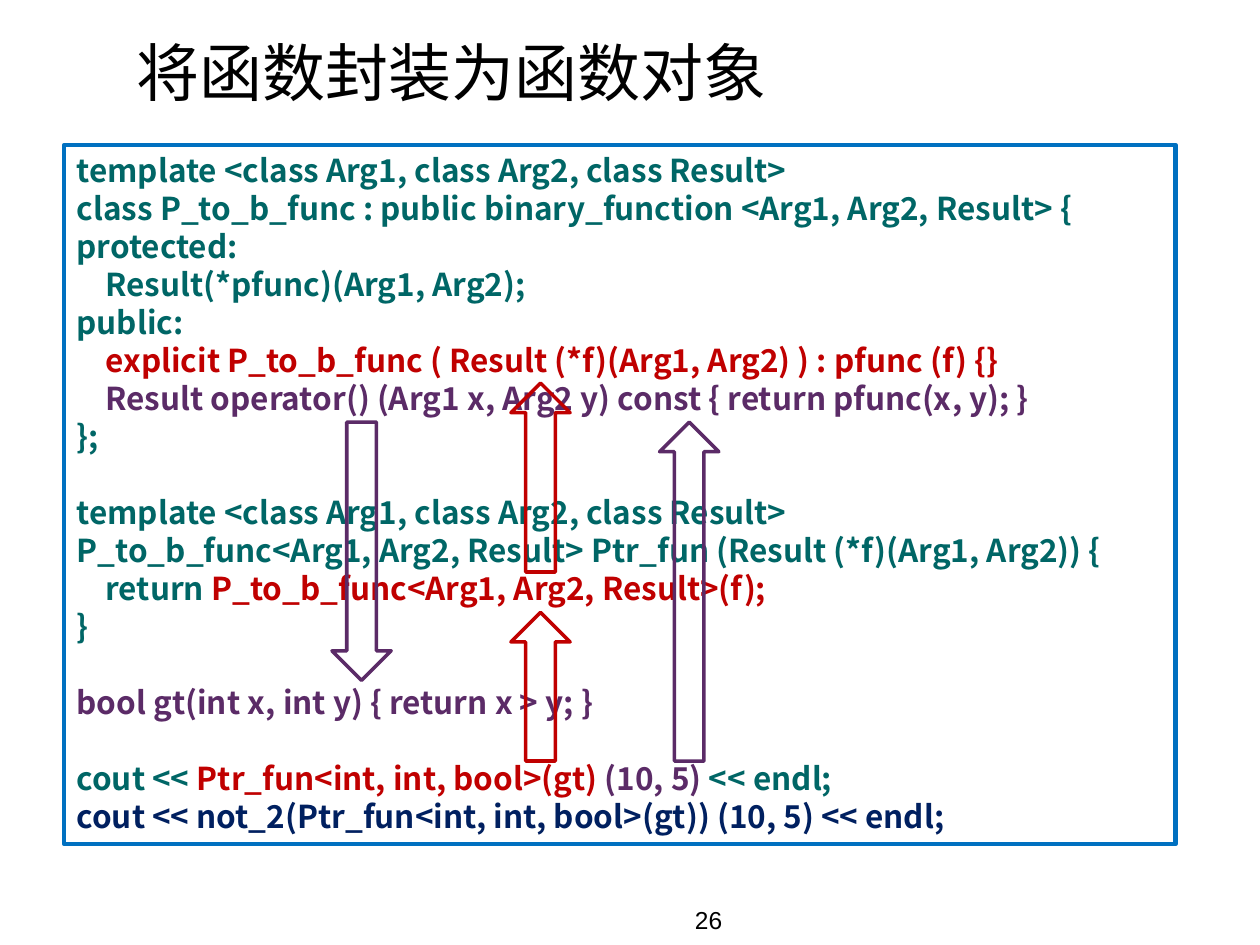
from dataclasses import dataclass
from pptx import Presentation
from pptx.dml.color import RGBColor
from pptx.enum.shapes import MSO_SHAPE as SHAPE
from pptx.enum.text import MSO_ANCHOR as ANCHOR, PP_ALIGN as ALIGN
from pptx.util import Inches, Pt


@dataclass(frozen=True)
class Theme:
    black: str = "000000"
    teal: str = "006666"
    red: str = "C00000"
    purple: str = "5B2B67"
    navy: str = "002060"
    frame: str = "0070C0"
    font: str = "Arial"
    code_font: str = "Noto Sans CJK JP"
    title_size: int = 36
    code_size: int = 18
    number_size: int = 14
    line_pitch: float = 21.7
    indent: float = 0.23


T = Theme()

# Content: blocks of code lines, each line (indent level, [(text, colour)])
TITLE = "将函数封装为函数对象"
PAGE = "26"
TEMPLATE = (0, [("template <class Arg1, class Arg2, class Result>", T.teal)])
BLOCKS = [
    [
        TEMPLATE,
        (0, [("class P_to_b_func : public binary_function <Arg1, Arg2, Result> {", T.teal)]),
        (0, [("protected:", T.teal)]),
        (1, [("Result(*pfunc)(Arg1, Arg2);", T.teal)]),
        (0, [("public:", T.teal)]),
        (1, [("explicit P_to_b_func ( Result (*f)(Arg1, Arg2) ) : pfunc (f) {}", T.red)]),
        (1, [("Result operator() (Arg1 x, Arg2 y) const { return pfunc(x, y); }", T.purple)]),
        (0, [("};", T.teal)]),
    ],
    [
        TEMPLATE,
        (0, [("P_to_b_func<Arg1, Arg2, Result> Ptr_fun (Result (*f)(Arg1, Arg2)) {", T.teal)]),
        (1, [("return ", T.teal), ("P_to_b_func<Arg1, Arg2, Result>(f);", T.red)]),
        (0, [("}", T.teal)]),
    ],
    [(0, [("bool gt(int x, int y) { return x > y; }", T.purple)])],
    [
        (0, [("cout << ", T.teal), ("Ptr_fun<int, int, bool>(gt) ", T.red),
             ("(10, 5) ", T.purple), ("<< endl;", T.teal)]),
        (0, [("cout << not_2(Ptr_fun<int, int, bool>(gt)) (10, 5) << endl;", T.navy)]),
    ],
]

# Arrows: shape, centre x, top, bottom, colour
ARROW_WIDTH = 0.47
CALL_Y, OPERATOR_Y = 6.04, 3.35
ARROWS = [
    (SHAPE.UP_ARROW, 4.29, 4.86, CALL_Y, T.red),
    (SHAPE.UP_ARROW, 4.29, 3.04, 4.54, T.red),
    (SHAPE.UP_ARROW, 5.47, OPERATOR_Y, CALL_Y, T.purple),
    (SHAPE.DOWN_ARROW, 2.87, OPERATOR_Y, 5.4, T.purple),
]


def box(*inches):
    return [Inches(v) for v in inches]


def add_run(p, text, size, color, font=T.font, bold=False):
    r = p.add_run()
    r.text = text
    r.font.name, r.font.size, r.font.bold = font, Pt(size), bold
    r.font.color.rgb = RGBColor.from_string(color)


def add_outline(s, kind, place, color, width):
    sp = s.shapes.add_shape(kind, *box(*place))
    sp.shadow.inherit = False
    sp.fill.background()
    sp.line.color.rgb = RGBColor.from_string(color)
    sp.line.width = Pt(width)
    return sp


def add_code(tf):
    tf.word_wrap, tf.vertical_anchor = True, ANCHOR.TOP
    p = tf.paragraphs[0]
    for b, block in enumerate(BLOCKS):
        for i, (level, runs) in enumerate(block):
            if b or i:
                p = tf.add_paragraph()
            p.alignment = ALIGN.LEFT
            p.line_spacing = Pt(T.line_pitch)
            if b and not i:
                p.space_before = Pt(T.line_pitch)
            if level:
                p._p.get_or_add_pPr().set("marL", str(Inches(level * T.indent)))
            for text, color in runs:
                add_run(p, text, T.code_size, color, T.code_font, True)


def main():
    prs = Presentation()
    prs.slide_width, prs.slide_height = box(10, 7.5)
    s = prs.slides.add_slide(prs.slide_layouts[5])

    # Title
    title = s.shapes.title
    title.left, title.top, title.width, title.height = box(0.98, 0.13, 9.29, 0.87)
    title.text_frame.vertical_anchor = ANCHOR.MIDDLE
    p = title.text_frame.paragraphs[0]
    p.alignment = ALIGN.LEFT
    add_run(p, TITLE, T.title_size, T.black)

    # Page number
    tf = s.shapes.add_textbox(*box(4.22, 7.13, 1.61, 0.37)).text_frame
    tf.word_wrap = True
    p = tf.paragraphs[0]
    p.alignment = ALIGN.RIGHT
    add_run(p, PAGE, T.number_size, T.black)

    # Framed code
    frame = add_outline(s, SHAPE.RECTANGLE, (0.51, 1.15, 8.82, 5.55), T.frame, 2.5)
    add_code(frame.text_frame)

    # Call-flow arrows
    for kind, x, top, bottom, color in ARROWS:
        place = (x - ARROW_WIDTH / 2, top, ARROW_WIDTH, bottom - top)
        add_outline(s, kind, place, color, 2)

    prs.save("out.pptx")


if __name__ == "__main__":
    main()
